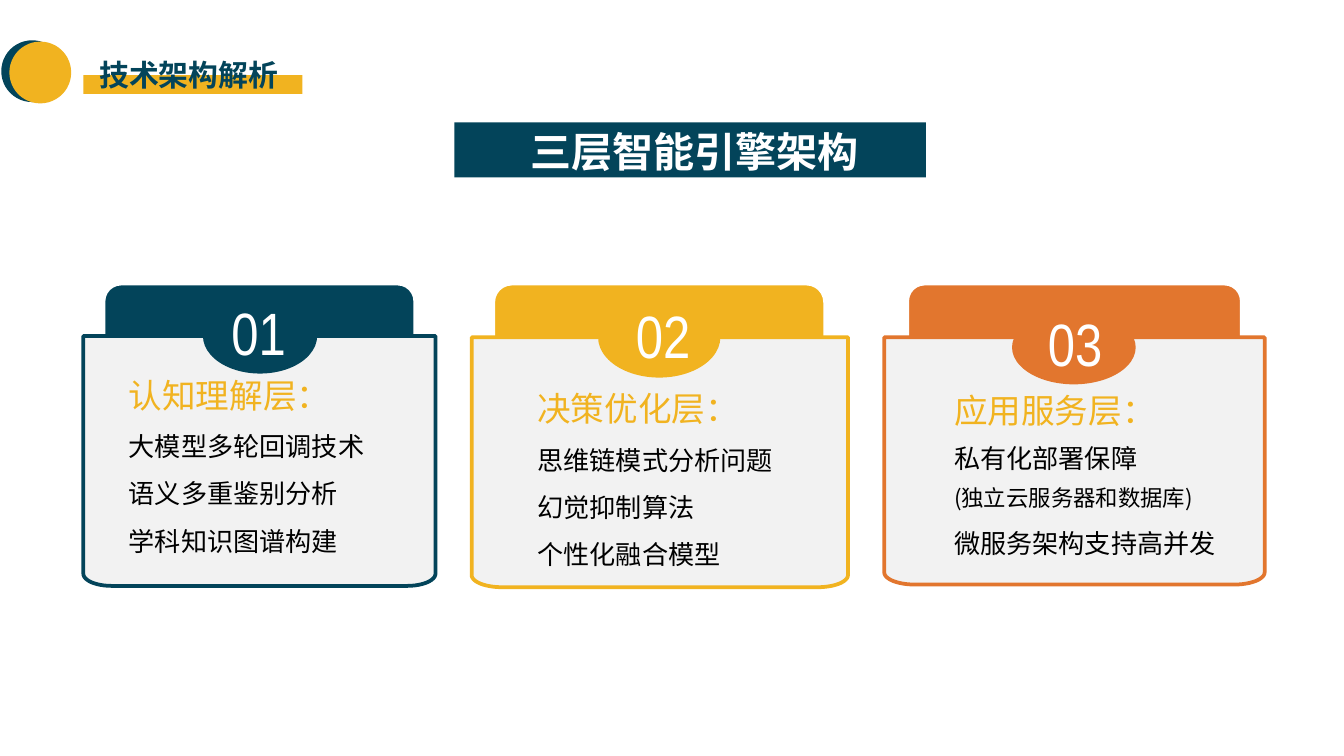
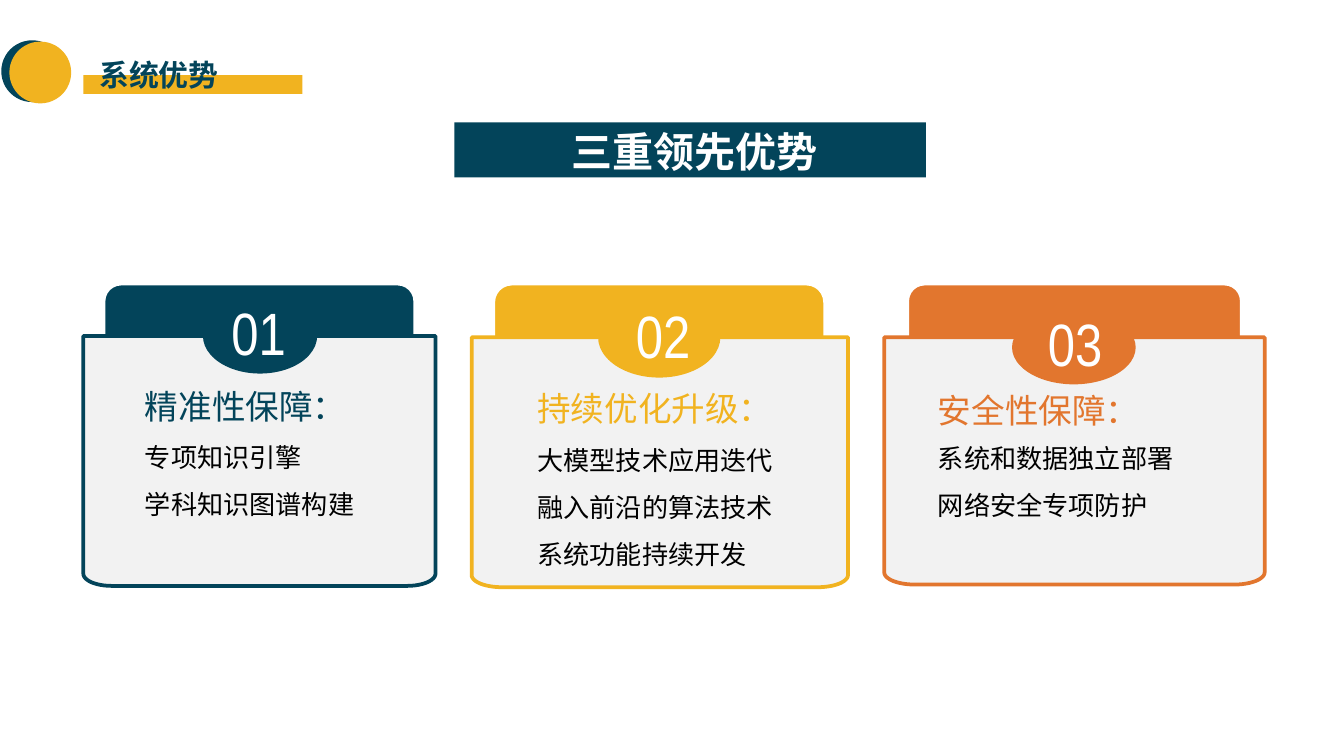
import math
from dataclasses import dataclass
from typing import NamedTuple

import pptx
import pptx.dml.color
import pptx.enum.shapes
import pptx.enum.text
import pptx.oxml.ns
import pptx.util
from lxml import etree
from pptx.util import Inches

COLORS = {
    "navy": "03445A",
    "gold": "F1B320",
    "orange": "E2762E",
    "paper": "F2F2F2",
    "white": "FFFFFF",
    "black": "000000",
}
CJK_FONT = "Noto Sans CJK SC"
NUMBER_FONT = "Arial Narrow"
PRESET = pptx.enum.shapes.MSO_SHAPE
ALIGN = pptx.enum.text.PP_ALIGN


class Box(NamedTuple):
    left: float
    top: float
    width: float
    height: float

    def lengths(self) -> tuple:
        return tuple(Inches(value) for value in self)


class Line(NamedTuple):
    text: str
    size: float = 14
    color: str = "black"
    spacing: float | None = 1.5


@dataclass(frozen=True)
class Folder:
    number: str
    color: str
    tab: Box
    body: Box
    badge: Box
    number_box: Box


@dataclass(frozen=True)
class Detail:
    heading: str
    color: str
    box: Box
    lines: tuple[Line, ...]


@dataclass(frozen=True)
class Page:
    section: str
    headline: str
    details: tuple[Detail, ...]


FOLDERS = (
    Folder("01", "navy", Box(0.77, 2.11, 2.32, 1.41), Box(0.62, 2.5, 2.62, 1.86),
           Box(1.51, 2.22, 0.85, 0.56), Box(1.33, 2.16, 1.19, 0.61)),
    Folder("02", "gold", Box(3.67, 2.11, 2.47, 1.49), Box(3.51, 2.51, 2.8, 1.86),
           Box(4.45, 2.21, 0.91, 0.6), Box(4.26, 2.18, 1.35, 0.61)),
    Folder("03", "orange", Box(6.75, 2.11, 2.49, 1.39), Box(6.58, 2.51, 2.83, 1.84),
           Box(7.53, 2.31, 0.92, 0.55), Box(7.25, 2.24, 1.5, 0.61)),
)

PAGES = (
    Page("技术架构解析", "三层智能引擎架构", (
        Detail("认知理解层：", "gold", Box(0.86, 2.74, 2.37, 1.63),
               (Line("大模型多轮回调技术"), Line("语义多重鉴别分析"), Line("学科知识图谱构建"))),
        Detail("决策优化层：", "gold", Box(3.9, 2.84, 2.3, 1.46),
               (Line("思维链模式分析问题"), Line("幻觉抑制算法"), Line("个性化融合模型"))),
        Detail("应用服务层：", "gold", Box(7, 2.85, 2.65, 1.16),
               (Line("私有化部署保障", spacing=1.4),
                Line("(独立云服务器和数据库)", size=12, spacing=1.4),
                Line("微服务架构支持高并发"))),
    )),
    Page("系统优势", "三重领先优势", (
        Detail("精准性保障：", "navy", Box(0.98, 2.82, 2.18, 1.63),
               (Line("专项知识引擎"), Line("学科知识图谱构建"))),
        Detail("持续优化升级：", "gold", Box(3.9, 2.84, 2.3, 1.46),
               (Line("大模型技术应用迭代"), Line("融入前沿的算法技术"), Line("系统功能持续开发"))),
        Detail("安全性保障：", "orange", Box(6.88, 2.85, 2.31, 1.47),
               (Line("系统和数据独立部署", spacing=1.4), Line("网络安全专项防护"))),
    )),
)


def rgb(color: str) -> pptx.dml.color.RGBColor:
    return pptx.dml.color.RGBColor.from_string(COLORS[color])


def paint(shape, fill: str, outline: str | None = None) -> None:
    shape.shadow.inherit = False
    shape.fill.solid()
    shape.fill.fore_color.rgb = rgb(fill)
    if outline:
        shape.line.color.rgb = rgb(outline)
        shape.line.width = pptx.util.Pt(2)
    else:
        shape.line.fill.background()


def add_preset(shapes, preset, box: Box, fill: str, outline: str | None = None):
    shape = shapes.add_shape(preset, *box.lengths())
    paint(shape, fill, outline)
    return shape


def add_text(shapes, box: Box, *lines: Line, font: str = CJK_FONT, bold: bool = False,
             align=ALIGN.LEFT, insets: tuple[float, float] = (0.1, 0.05),
             grow: bool = False) -> None:
    frame = shapes.add_textbox(*box.lengths()).text_frame
    frame.word_wrap = True
    if grow:
        frame.auto_size = pptx.enum.text.MSO_AUTO_SIZE.SHAPE_TO_FIT_TEXT
    frame.margin_left = frame.margin_right = Inches(insets[0])
    frame.margin_top = frame.margin_bottom = Inches(insets[1])
    for index, line in enumerate(lines):
        paragraph = frame.add_paragraph() if index else frame.paragraphs[0]
        paragraph.alignment = align
        if line.spacing:
            paragraph.line_spacing = line.spacing
        run = paragraph.add_run()
        run.text = line.text
        run.font.size = pptx.util.Pt(line.size)
        run.font.bold = bold
        run.font.color.rgb = rgb(line.color)
        run.font.name = font
        east_asian = etree.SubElement(run.font._element, pptx.oxml.ns.qn("a:ea"))
        east_asian.set("typeface", font)


def add_folder_body(shapes, box: Box, outline: str) -> None:
    right, bottom = box.left + box.width, box.top + box.height
    corner_width, corner_height = 0.08 * box.width, 0.09
    angles = [math.radians(step * 7.5) for step in range(13)]
    right_corner = [(right - corner_width * (1 - math.cos(angle)),
                     bottom - corner_height * (1 - math.sin(angle))) for angle in angles]
    left_corner = [(box.left + right - x, y) for x, y in reversed(right_corner)]
    points = [(right, box.top), *right_corner, *left_corner]
    builder = shapes.build_freeform(Inches(box.left), Inches(box.top))
    builder.add_line_segments([(Inches(x), Inches(y)) for x, y in points], close=True)
    paint(builder.convert_to_shape(), "paper", outline)


def add_folder(slide, folder: Folder) -> None:
    shapes = slide.shapes.add_group_shape().shapes
    tab = add_preset(shapes, PRESET.ROUNDED_RECTANGLE, folder.tab, folder.color, "white")
    tab.adjustments[0] = 0.093
    add_folder_body(shapes, folder.body, folder.color)
    add_preset(shapes, PRESET.OVAL, folder.badge, folder.color)
    add_text(shapes, folder.number_box, Line(folder.number, 32, "white", None),
             font=NUMBER_FONT, align=ALIGN.CENTER, insets=(0.07, 0.04), grow=True)


def add_headings(shapes, page: Page) -> None:
    add_preset(shapes, PRESET.RECTANGLE, Box(3.38, 0.91, 3.51, 0.41), "navy")
    add_text(shapes, Box(3.5, 0.89, 3.33, 0.47), Line(page.headline, 22, "white", None),
             bold=True, align=ALIGN.CENTER, grow=True)
    add_preset(shapes, PRESET.RECTANGLE, Box(0.62, 0.56, 1.63, 0.14), "gold")
    add_text(shapes, Box(0.66, 0.38, 1.55, 0.34), Line(page.section, 16, "navy", None),
             bold=True, insets=(0.08, 0.04), grow=True)


def add_page(deck, page: Page) -> None:
    slide = deck.slides.add_slide(deck.slide_layouts[6])
    add_preset(slide.shapes, PRESET.OVAL, Box(0.01, 0.3, 0.46, 0.46), "navy")
    add_preset(slide.shapes, PRESET.OVAL, Box(0.07, 0.31, 0.46, 0.46), "gold")
    for folder in reversed(FOLDERS):
        add_folder(slide, folder)
    for detail in page.details:
        add_text(slide.shapes, detail.box,
                 Line(detail.heading, 18, detail.color, None), *detail.lines)
    add_headings(slide.shapes, page)


def main() -> None:
    deck = pptx.Presentation()
    deck.slide_width = Inches(10)
    deck.slide_height = deck.slide_width * 9 // 16
    for page in PAGES:
        add_page(deck, page)
    deck.save("out.pptx")


if __name__ == "__main__":
    main()
